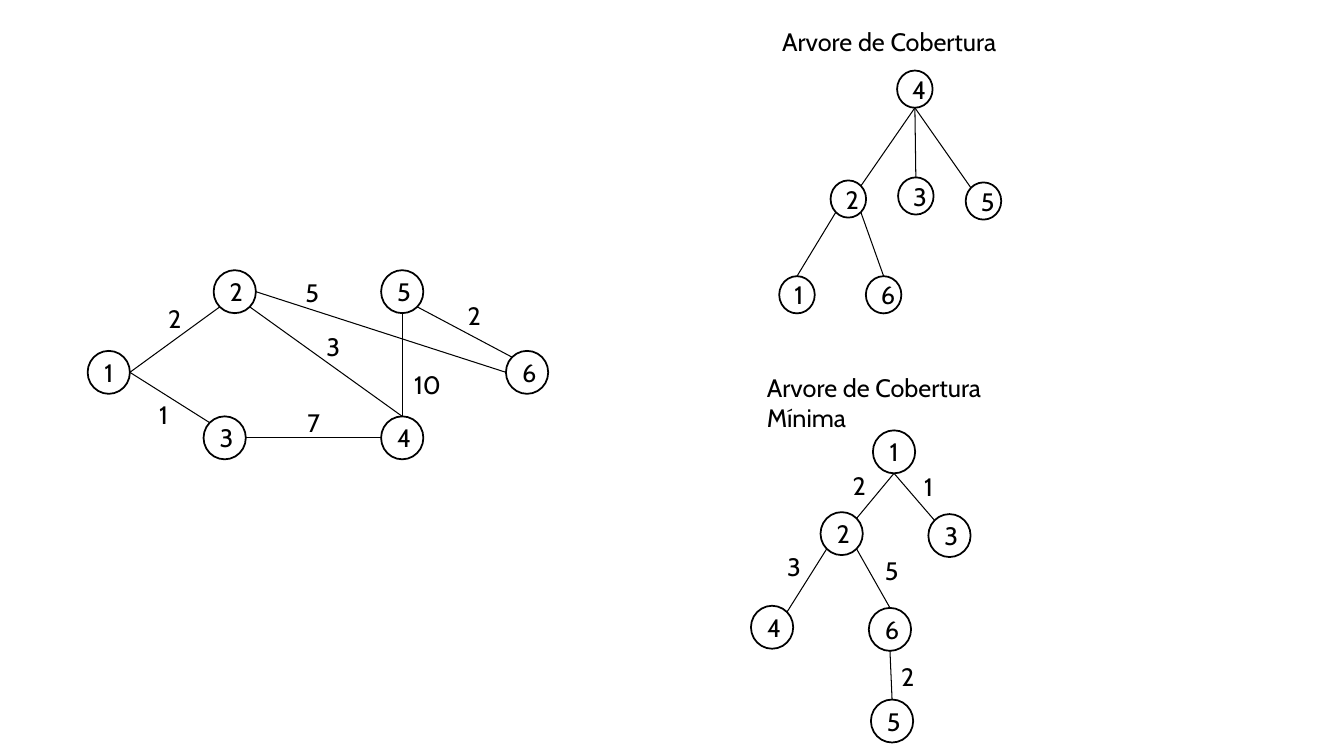
from lxml import etree
from pptx import Presentation
from pptx.dml.color import RGBColor
from pptx.enum.shapes import MSO_CONNECTOR, MSO_SHAPE
from pptx.enum.text import MSO_ANCHOR, MSO_AUTO_SIZE, PP_ALIGN
from pptx.oxml.ns import qn
from pptx.util import Pt

CIRCLE = MSO_SHAPE.FLOWCHART_CONNECTOR
STRAIGHT = MSO_CONNECTOR.STRAIGHT
CENTER = PP_ALIGN.CENTER
MIDDLE = MSO_ANCHOR.MIDDLE
GROW = MSO_AUTO_SIZE.SHAPE_TO_FIT_TEXT

# Points on a circle, as fractions of its width and height
LOW, HIGH = 0.15, 0.85
SITES = {
    "T": (0.5, 0), "B": (0.5, 1), "L": (0, 0.5), "R": (1, 0.5),
    "TL": (LOW, LOW), "TR": (HIGH, LOW), "BL": (LOW, HIGH), "BR": (HIGH, HIGH),
}
LARGE, SMALL = (30.2, 30.7), (25.4, 26.6)

# Each graph: circle size, nodes (left, top), edges, labels (text, left, top)
WEIGHTED_GRAPH = (
    LARGE,
    {"1": (62.6, 250.6), "2": (152.6, 193), "3": (145.4, 297.4),
     "5": (272.2, 193), "4": (272.2, 297.4), "6": (361.4, 250.6)},
    [("1", "R", "2", "BL"), ("1", "R", "3", "TL"), ("2", "BR", "4", "T"),
     ("3", "R", "4", "L"), ("2", "R", "6", "L"), ("4", "T", "5", "B"),
     ("5", "BR", "6", "TL")],
    [("2", 113, 213.1), ("1", 106.6, 281.5), ("7", 212.4, 287.3),
     ("3", 226.1, 233.3), ("5", 211, 194.4), ("10", 288.7, 260.6),
     ("2", 326.9, 211)],
)
SPANNING_TREE = (
    SMALL,
    {"1": (556.6, 197.3), "2": (593.3, 128.9), "3": (641.5, 126.7),
     "5": (689.8, 130.3), "4": (640.8, 50.4), "6": (618.5, 197.3)},
    [("1", "T", "2", "BL"), ("2", "TR", "4", "B"), ("3", "T", "4", "B"),
     ("2", "BR", "6", "T"), ("4", "B", "5", "TL")],
    [],
)
MINIMUM_TREE = (
    LARGE,
    {"1": (623.5, 307.4), "2": (586.1, 365.8), "3": (663.1, 367.2),
     "4": (536.4, 432.7), "6": (620.6, 434.2), "5": (622.1, 499.7)},
    [("1", "B", "2", "TR"), ("1", "B", "3", "TL"), ("2", "BL", "4", "TR"),
     ("2", "BR", "6", "T"), ("6", "B", "5", "T")],
    [("2", 601.9, 332.6), ("1", 653, 333.4), ("3", 555.1, 390.2),
     ("5", 625, 393.1), ("2", 636.5, 468.7)],
)


def rgb(value):
    return RGBColor.from_string(value)


class GraphSlide:
    ink, paper = "000000", "FFFFFF"
    font = {"name": "Cabin", "size": Pt(18)}

    def __init__(self, s):
        self.s = s

    def add_text(self, sp, text, align=None):
        tf = sp.text_frame
        tf.word_wrap = True
        p = tf.paragraphs[0]
        p.alignment = align
        r = p.add_run()
        r.text = text
        for key, value in self.font.items():
            setattr(r.font, key, value)
        r.font.color.rgb = rgb(self.ink)
        return tf

    def outline(self, line, width):
        line.color.rgb = rgb(self.ink)
        line.width = Pt(width)

    def node(self, text, x, y, size):
        sp = self.s.shapes.add_shape(CIRCLE, Pt(x), Pt(y), *map(Pt, size))
        sp.shadow.inherit = False
        sp.fill.solid()
        sp.fill.fore_color.rgb = rgb(self.paper)
        self.outline(sp.line, 1.25)
        self.add_text(sp, text, CENTER).vertical_anchor = MIDDLE

    def edge(self, start, end):
        sp = self.s.shapes.add_connector(STRAIGHT, *map(Pt, start + end))
        self.outline(sp.line, 0.75)
        etree.SubElement(sp._element.spPr, qn("a:effectLst"))

    def label(self, text, x, y, width):
        sp = self.s.shapes.add_textbox(Pt(x), Pt(y), Pt(width), Pt(29))
        self.add_text(sp, text).auto_size = GROW

    def graph(self, size, nodes, edges, labels):
        def site(name, side):
            """Return the point on the given side of a node."""
            return tuple(a + d * f for a, d, f in zip(nodes[name], size, SITES[side]))

        for name, (x, y) in nodes.items():
            self.node(name, x, y, size)
        for a, side_a, b, side_b in edges:
            self.edge(site(a, side_a), site(b, side_b))
        for text, x, y in labels:
            self.label(text, x, y, 10 + 13 * len(text))


def main():
    prs = Presentation()
    prs.slide_width, prs.slide_height = Pt(960), Pt(540)
    slide = GraphSlide(prs.slides.add_slide(prs.slide_layouts[6]))
    slide.graph(*WEIGHTED_GRAPH)
    slide.graph(*SPANNING_TREE)
    slide.label("Arvore de Cobertura", 551.5, 15.1, 169.2)
    slide.label("Arvore de Cobertura Mínima", 540.7, 262.1, 226.8)
    slide.graph(*MINIMUM_TREE)
    prs.save("out.pptx")


if __name__ == "__main__":
    main()
